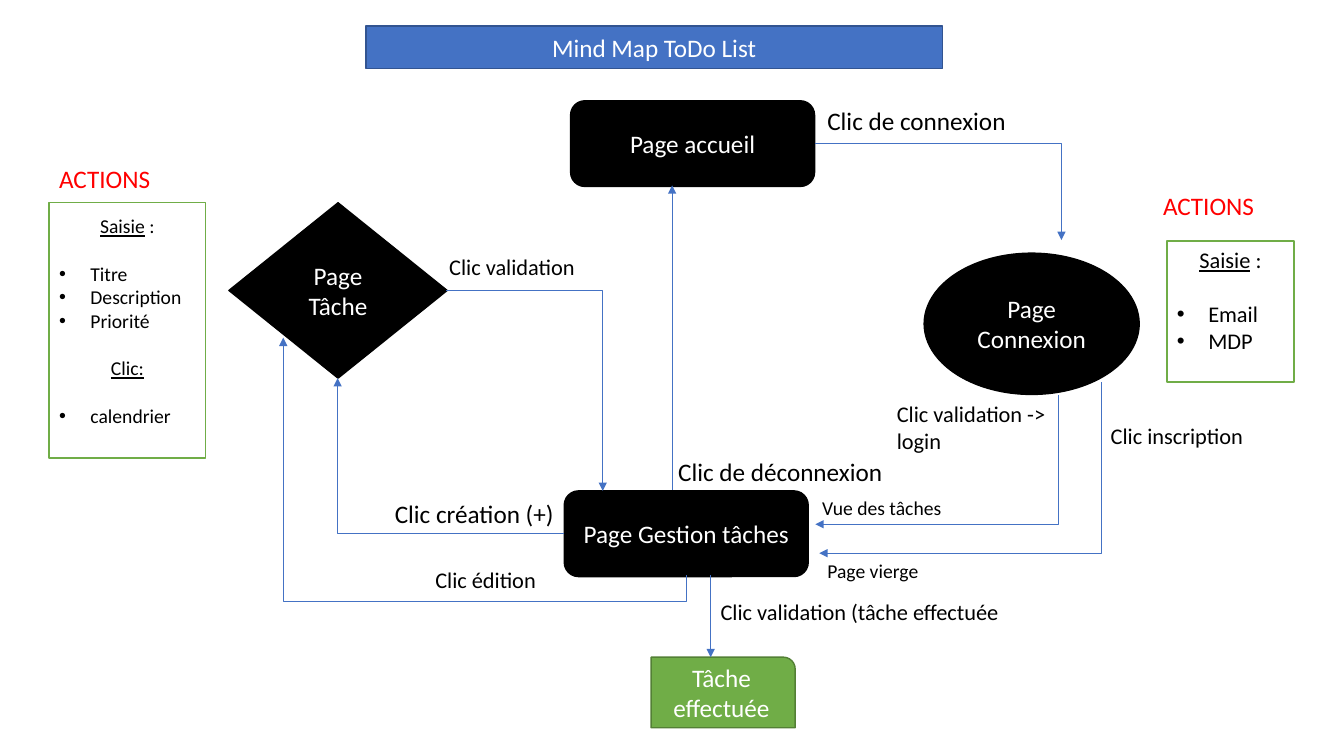
from dataclasses import dataclass

from lxml.etree import SubElement
from pptx import Presentation
from pptx.dml.color import RGBColor
from pptx.enum.shapes import MSO_CONNECTOR as Route, MSO_SHAPE as Shape
from pptx.enum.text import MSO_ANCHOR as Anchor, PP_ALIGN as Align
from pptx.oxml.ns import qn
from pptx.util import Cm, Pt

COLORS = {
    "black": "000000", "white": "FFFFFF", "red": "FF0000", "blue": "4472C4",
    "navy": "325491", "green": "70AD47", "forest": "538035",
}


@dataclass
class Box:
    x: float
    y: float
    w: float
    h: float

    def inner(self, dx, dy, w, h):
        return Box(self.x + dx, self.y + dy, w, h)

    def lengths(self):
        return [Cm(v) for v in (self.x, self.y, self.w, self.h)]


def color(name):
    return RGBColor.from_string(COLORS[name])


def apply(target, formats):
    for key, value in formats.items():
        setattr(target, key, value)


def add_run(paragraph, text, size, ink, **formats):
    run = paragraph.add_run()
    run.text = text
    apply(run.font, {"name": "Calibri", "size": Pt(size), **formats})
    run.font.color.rgb = color(ink)


def add_label(slide, box, text, size, ink="black"):
    frame = slide.shapes.add_textbox(*box.lengths()).text_frame
    frame.word_wrap = True
    add_run(frame.paragraphs[0], text, size, ink)


def add_panel(slide, box, outline, fill, line):
    panel = slide.shapes.add_shape(outline, *box.lengths())
    panel.shadow.inherit = False
    panel.fill.solid()
    panel.fill.fore_color.rgb = color(fill)
    panel.line.color.rgb = color(line)
    panel.line.width = Pt(1)
    apply(panel.text_frame, {"word_wrap": True, "vertical_anchor": Anchor.MIDDLE})
    return panel.text_frame


def add_node(slide, box, outline, text, fill="black", line="black"):
    paragraph = add_panel(slide, box, outline, fill, line).paragraphs[0]
    paragraph.alignment = Align.CENTER
    add_run(paragraph, text, 18, "white")


def add_arrow(slide, route, start, end, preset=None, adjust=None):
    points = [Cm(v) for v in (*start, *end)]
    arrow = slide.shapes.add_connector(route, *points)
    arrow.line.color.rgb = color("blue")
    arrow.line.width = Pt(0.5)
    properties = arrow.element.spPr
    SubElement(properties.find(qn("a:ln")), qn("a:tailEnd"), type="triangle")
    SubElement(properties, qn("a:effectLst"))
    geometry = properties.find(qn("a:prstGeom"))
    if preset:
        geometry.set("prst", preset)
    if adjust is not None:
        guides = geometry.find(qn("a:avLst"))
        SubElement(guides, qn("a:gd"), name="adj1", fmla=f"val {round(adjust * 100000)}")
    return arrow


def add_detour(slide, start, end, drop):
    """Arrow that leaves downwards, runs across and comes back up."""
    (x1, y1), (x2, y2) = start, end
    mid_x, mid_y = (x1 + x2) / 2, (y1 + y2) / 2
    half_w, half_h = (x1 - x2) / 2, (y1 - y2) / 2
    # A quarter turn swaps the half width and the half height
    arrow = add_arrow(slide, Route.ELBOW, (mid_x + half_h, mid_y - half_w),
                      (mid_x - half_h, mid_y + half_w), adjust=-drop / (y1 - y2))
    arrow.element.spPr.find(qn("a:xfrm")).set("rot", str(90 * 60000))


def draw_pages(slide, area):
    pages = [
        ("Page accueil", Shape.ROUNDED_RECTANGLE, (9.38, 0.54, 6.15, 2.16)),
        ("Page Tâche", Shape.DIAMOND, (0.77, 3.11, 5.5, 4.42)),
        ("Page Connexion", Shape.OVAL, (18.29, 4.38, 5.42, 3.56)),
        ("Page Gestion tâches", Shape.ROUNDED_RECTANGLE, (9.22, 10.37, 6.15, 2.16)),
    ]
    for text, outline, place in pages:
        add_node(slide, area.inner(*place), outline, text)
    add_node(slide, area.inner(11.41, 14.56, 3.63, 1.78), Shape.ROUND_1_RECTANGLE,
             "Tâche effectuée", "green", "forest")


def draw_links(slide, area):
    def at(point):
        return area.x + point[0], area.y + point[1]

    straight = (Route.STRAIGHT, None, None)
    across_first = (Route.ELBOW, "bentConnector2", None)
    down_first = (Route.ELBOW, None, 0)
    links = [
        (across_first, (15.53, 1.61), (21.75, 4.05)),   # accueil -> connexion
        (down_first, (21.67, 7.96), (15.55, 11.21)),    # login -> gestion
        (down_first, (22.76, 7.63), (15.65, 11.94)),    # inscription -> gestion
        (straight, (11.94, 10.34), (11.94, 2.67)),      # gestion -> accueil
        (across_first, (9.22, 11.44), (3.51, 7.53)),    # gestion -> tâche
        (across_first, (6.25, 5.32), (10.19, 10.37)),   # tâche -> gestion
        (straight, (12.91, 12.5), (12.91, 14.56)),      # gestion -> effectuée
    ]
    for (route, preset, adjust), start, end in links:
        add_arrow(slide, route, at(start), at(end), preset, adjust)
    add_detour(slide, at((12.3, 12.5)), at((2.14, 6.51)), 0.65)

    labels = [
        ("Clic de connexion", 18, 15.6, 0.54, 5.1),
        ("Clic validation -> login", 16, 17.35, 7.96, 4.37),
        ("Clic de déconnexion", 18, 11.84, 9.38, 5.9),
        ("Clic inscription", 16, 22.74, 8.52, 4.88),
        ("Vue des tâches", 14, 15.47, 10.37, 3.66),
        ("Page vierge", 14, 15.6, 11.97, 3.66),
        ("Clic création (+)", 18, 4.7, 10.42, 4.83),
        ("Clic validation", 16, 6.07, 4.25, 4.37),
        ("Clic édition", 16, 5.72, 12.15, 3.66),
        ("Clic validation (tâche effectuée", 16, 12.91, 12.96, 8.84),
    ]
    for text, size, x, y, width in labels:
        add_label(slide, area.inner(x, y, width, 1), text, size)


def draw_actions(slide, box, heading_offset, size, inset, groups):
    add_label(slide, box.inner(*heading_offset, 3.94, 1), "ACTIONS", 18, "red")
    frame = add_panel(slide, box, Shape.RECTANGLE, "white", "green")
    apply(frame, {"vertical_anchor": Anchor.TOP, "margin_top": Cm(inset)})
    gap = Pt(size * 1.22)
    paragraph = frame.paragraphs[0]
    for index, (title, suffix, entries) in enumerate(groups):
        if index:
            paragraph = frame.add_paragraph()
            paragraph.space_before = gap
        paragraph.alignment = Align.CENTER
        add_run(paragraph, title, size, "black", underline=True)
        if suffix:
            add_run(paragraph, suffix, size, "black")
        for position, entry in enumerate(entries):
            bullet = frame.add_paragraph()
            apply(bullet, {"alignment": Align.LEFT,
                           "space_before": Pt(0) if position else gap})
            properties = bullet._p.get_or_add_pPr()
            properties.set("marL", str(Cm(0.79)))
            properties.set("indent", str(-Cm(0.79)))
            SubElement(properties, qn("a:buFont"), typeface="Arial")
            SubElement(properties, qn("a:buChar"), char="•")
            add_run(bullet, entry, size, "black")


def draw_title(slide, box):
    add_node(slide, box, Shape.RECTANGLE, "Mind Map ToDo List", "blue", "navy")


deck = Presentation()
apply(deck, {"slide_width": Cm(33.87), "slide_height": Cm(19.05)})
mind_map = deck.slides.add_slide(deck.slide_layouts[6])

flow = Box(5, 2, 25, 17)
draw_pages(mind_map, flow)
draw_links(mind_map, flow)
draw_actions(mind_map, Box(1.24, 5.11, 3.94, 6.43), (0, -1.12), 14, 0.29, [
    ("Saisie", " :", ["Titre", "Description", "Priorité"]),
    ("Clic:", "", ["calendrier"]),
])
draw_actions(mind_map, Box(29.41, 6.07, 3.2, 3.56), (-0.35, -1.4), 16, 0.13, [
    ("Saisie", " :", ["Email", "MDP"]),
])
draw_title(mind_map, Box(9.22, 0.66, 14.53, 1.07))
deck.save("out.pptx")
